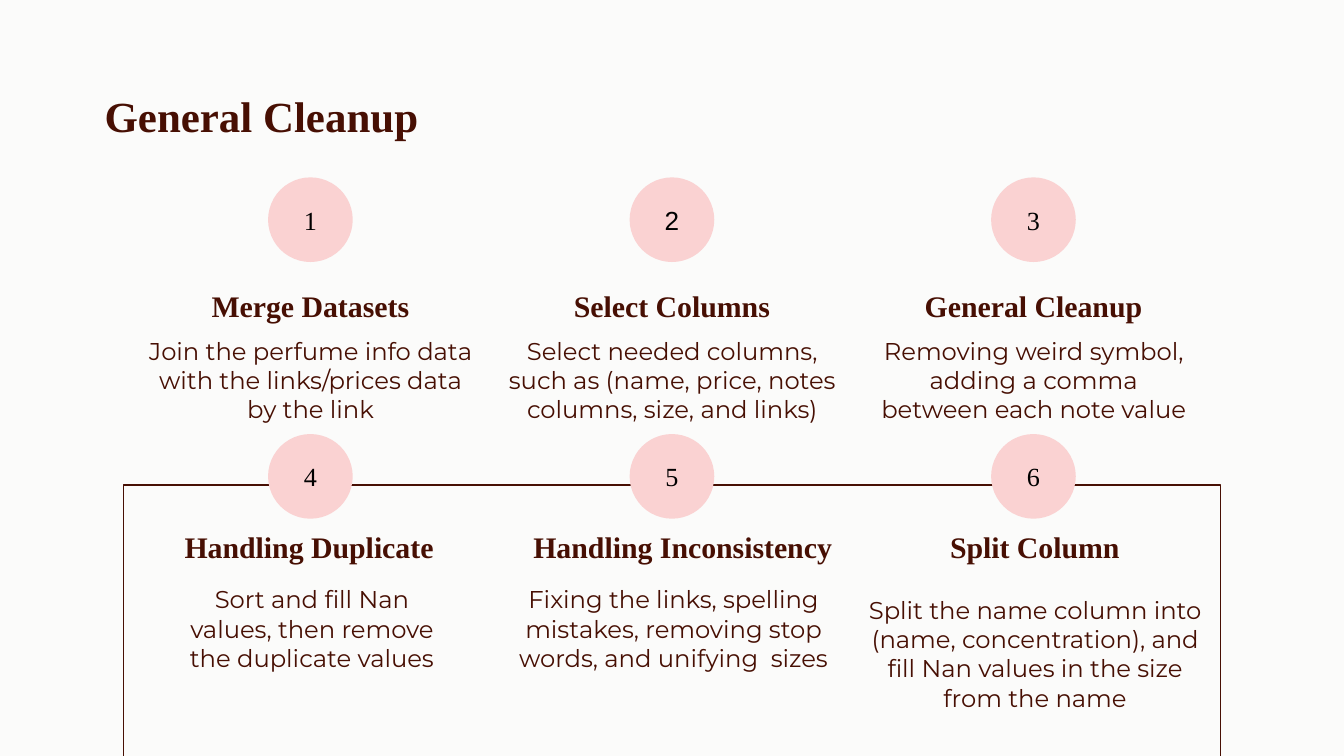
from pptx import Presentation
from pptx.dml.color import RGBColor
from pptx.enum.shapes import MSO_SHAPE
from pptx.enum.text import MSO_ANCHOR, PP_ALIGN
from pptx.util import Inches, Pt

RECTANGLE, OVAL = MSO_SHAPE.RECTANGLE, MSO_SHAPE.OVAL
TOP, MIDDLE, BOTTOM = MSO_ANCHOR.TOP, MSO_ANCHOR.MIDDLE, MSO_ANCHOR.BOTTOM
LEFT, CENTER = PP_ALIGN.LEFT, PP_ALIGN.CENTER

COLORS = {"paper": "FBFBFA", "brown": "470F03", "pink": "FAD2D2", "black": "000000"}
SERIF, SANS, BODY = "Times New Roman", "Arial", "Montserrat"

TITLE = "General Cleanup"
# heading, heading width, heading shift, description, description width
STEPS = [
    ("Merge Datasets", 2.2, 0,
     "Join the perfume info data with the links/prices data by the link", 2.62),
    ("Select Columns", 2.2, 0,
     "Select needed columns, such as (name, price, notes columns, size, and links)", 2.72),
    ("General Cleanup", 2.2, 0,
     "Removing weird symbol, adding a comma between each note value", 2.53),
    ("Handling Duplicate", 2.69, -0.02,
     "Sort and fill Nan values, then remove the duplicate values", 2.2),
    ("Handling Inconsistency", 3.01, 0.07,
     "Fixing the links, spelling mistakes, removing stop words, and unifying  sizes", 2.82),
    ("Split Column", 2.2, 0,
     "Split the name column into (name, concentration), and fill Nan values "
     "in the size from the name", 2.82),
]
NUMBER_FONTS = {2: SANS}
DESCRIPTION_TOPS = {6: 4.33}

# Grid: three columns by centre, two rows by the tops of their parts
SLIDE_WIDTH = 10
SLIDE_HEIGHT = SLIDE_WIDTH * 9 / 16
COLUMNS, FIRST_CENTER, COLUMN_STEP = 3, 2.31, 2.69
ROWS = [{"circle": 1.32, "heading": 2.03, "description": 2.4, "text shift": 0},
        {"circle": 3.23, "heading": 3.82, "description": 4.25, "text shift": 0.01}]
CIRCLE, HEADING_HEIGHT, DESCRIPTION_HEIGHT = 0.63, 0.48, 0.67

FORMATS = {
    "title": {"size": Pt(23), "name": SERIF, "bold": True},
    "heading": {"size": Pt(16), "name": SERIF, "bold": True},
    "description": {"size": Pt(13), "name": BODY},
    "number": {"size": Pt(14), "name": SERIF},
}


def rgb(color):
    return RGBColor.from_string(COLORS[color])


def write(holder, text, style, color="brown", align=CENTER, anchor=TOP, **changes):
    frame = holder.text_frame
    frame.word_wrap = True
    frame.vertical_anchor = anchor
    for side in ("left", "top", "right", "bottom"):
        setattr(frame, f"margin_{side}", Inches(0.1))
    paragraph = frame.paragraphs[0]
    paragraph.alignment = align
    run = paragraph.add_run()
    run.text = text
    for key, value in {**FORMATS[style], **changes}.items():
        setattr(run.font, key, value)
    run.font.color.rgb = rgb(color)


def add_text(left, top, width, height, text, style, **options):
    box = slide.shapes.add_textbox(*map(Inches, (left, top, width, height)))
    write(box, text, style, **options)


def add_plain_shape(kind, left, top, width, height):
    shape = slide.shapes.add_shape(kind, *map(Inches, (left, top, width, height)))
    shape.shadow.inherit = False
    return shape


prs = Presentation()
prs.slide_width, prs.slide_height = Inches(SLIDE_WIDTH), Inches(SLIDE_HEIGHT)
slide = prs.slides.add_slide(prs.slide_layouts[6])
slide.background.fill.solid()
slide.background.fill.fore_color.rgb = rgb("paper")

# Frame running past the bottom edge
frame_outline = add_plain_shape(RECTANGLE, 0.92, 3.61, 8.16, 2.32)
frame_outline.fill.background()
frame_outline.line.color.rgb = rgb("brown")
frame_outline.line.width = Pt(0.75)

# Slide title
add_text(0.68, 0.57, 8.88, 0.63, TITLE, "title", align=LEFT)

# Numbered steps
for index, (heading, heading_width, shift, description, description_width) in enumerate(STEPS):
    number = index + 1
    row, column = divmod(index, COLUMNS)
    tops = ROWS[row]
    center = FIRST_CENTER + column * COLUMN_STEP
    text_center = center + tops["text shift"]

    circle = add_plain_shape(OVAL, center - CIRCLE / 2, tops["circle"], CIRCLE, CIRCLE)
    circle.fill.solid()
    circle.fill.fore_color.rgb = rgb("pink")
    circle.line.fill.background()
    write(circle, str(number), "number", color="black", anchor=MIDDLE,
          name=NUMBER_FONTS.get(number, SERIF))

    add_text(text_center + shift - heading_width / 2, tops["heading"], heading_width,
             HEADING_HEIGHT, heading, "heading", anchor=BOTTOM)
    add_text(text_center - description_width / 2,
             DESCRIPTION_TOPS.get(number, tops["description"]),
             description_width, DESCRIPTION_HEIGHT, description, "description")

prs.save("out.pptx")
